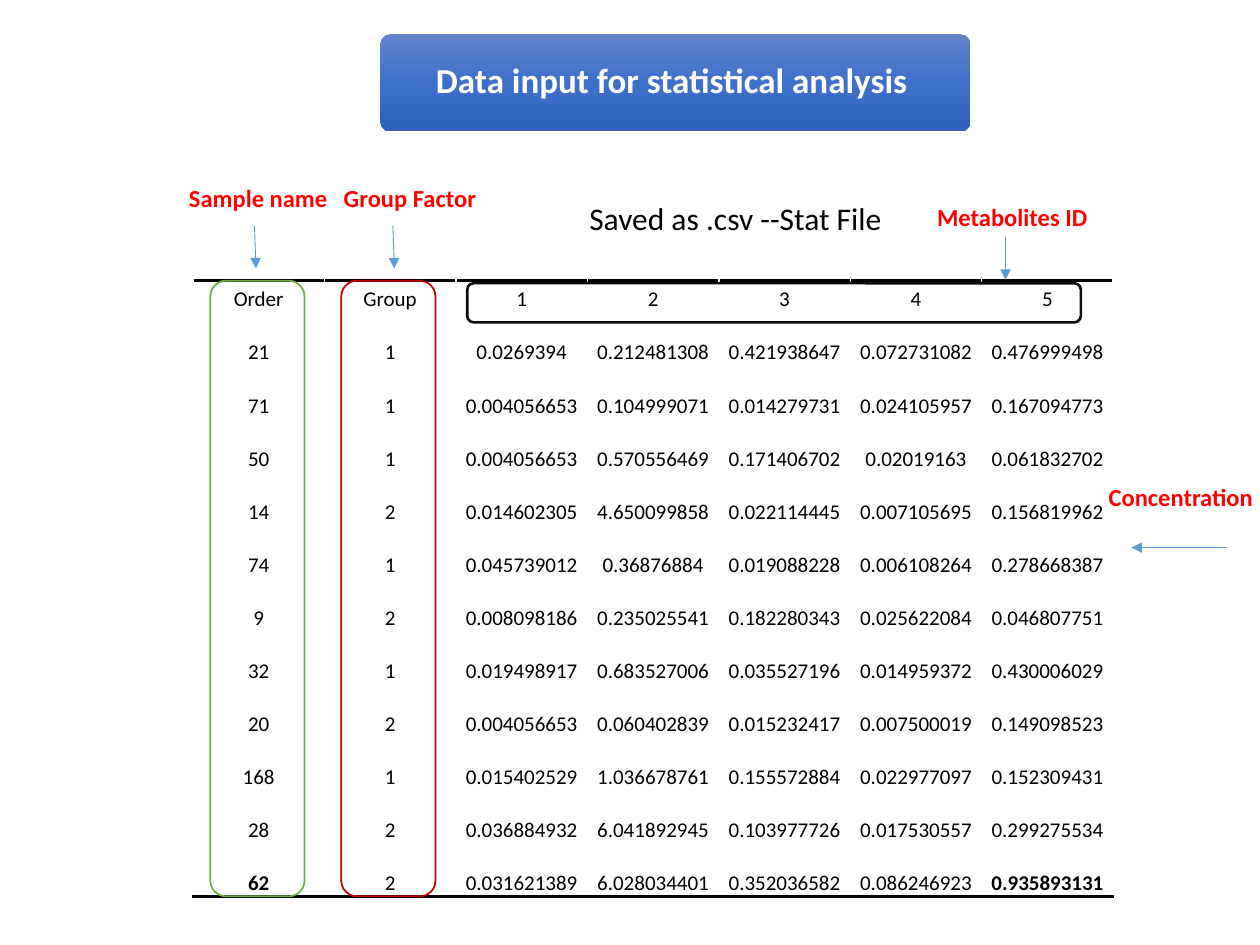
from copy import deepcopy

from lxml.etree import SubElement
from pptx import Presentation
from pptx.dml.color import RGBColor
from pptx.enum.shapes import MSO_CONNECTOR, MSO_SHAPE
from pptx.enum.text import MSO_ANCHOR, MSO_AUTO_SIZE, PP_ALIGN
from pptx.oxml import parse_xml
from pptx.oxml.ns import nsdecls, qn
from pptx.util import Cm, Pt

COLORS = {"white": "FFFFFF", "black": "000000", "label": "FF0000", "arrow": "5B9BD5",
          "order": "70AD47", "group": "C00000", "ids": "0D0D0D"}
BANNER = [(0, "6183CB"), (0.5, "3E70CA"), (1, "3062BB")]
TITLE = "Data input for statistical analysis"
HEADER = ["Order", "Group", "1", "2", "3", "4", "5"]
SAMPLES = [
    ["21", "1", "0.0269394", "0.212481308", "0.421938647", "0.072731082", "0.476999498"],
    ["71", "1", "0.004056653", "0.104999071", "0.014279731", "0.024105957", "0.167094773"],
    ["50", "1", "0.004056653", "0.570556469", "0.171406702", "0.02019163", "0.061832702"],
    ["14", "2", "0.014602305", "4.650099858", "0.022114445", "0.007105695", "0.156819962"],
    ["74", "1", "0.045739012", "0.36876884", "0.019088228", "0.006108264", "0.278668387"],
    ["9", "2", "0.008098186", "0.235025541", "0.182280343", "0.025622084", "0.046807751"],
    ["32", "1", "0.019498917", "0.683527006", "0.035527196", "0.014959372", "0.430006029"],
    ["20", "2", "0.004056653", "0.060402839", "0.015232417", "0.007500019", "0.149098523"],
    ["168", "1", "0.015402529", "1.036678761", "0.155572884", "0.022977097", "0.152309431"],
    ["28", "2", "0.036884932", "6.041892945", "0.103977726", "0.017530557", "0.299275534"],
    ["62", "2", "0.031621389", "6.028034401", "0.352036582", "0.086246923", "0.935893131"],
]
BOLD_CELLS = {"62", "0.935893131"}
LEFT, TOP, COL_W, HEAD_H, ROW_H = 3.89, 5.66, 2.65, 0.64, 1.07
TABLE_H = HEAD_H + ROW_H * len(SAMPLES)
FRAMES = [
    ("order", 1, (4.24, TOP, 1.9, TABLE_H)),
    ("group", 1, (6.88, TOP, 1.9, TABLE_H)),
    ("ids", 1.5, (9.42, 5.71, 12.37, 0.79)),
]
ARROWS = [
    (5.13, 4.55, 5.16, 5.41),
    (7.92, 4.55, 7.95, 5.41),
    (20.27, 4.78, 20.27, 5.64),
    (24.74, 11.04, 22.81, 11.04),
]
LABEL = {"size": Pt(14), "bold": True, "color": "label"}
NOTE = {"size": Pt(18), "bold": False, "color": "black"}
LABELS = [
    ("Sample name\tGroup Factor", (3.56, 3.56, 8.38, 0.86), LABEL, True),
    ("Metabolites ID", (18.64, 3.94, 3.81, 0.86), LABEL, True),
    ("Concentration", (22.1, 9.6, 3.81, 0.86), LABEL, True),
    ("Saved as .csv --Stat File", (11.63, 3.89, 6.48, 1.02), NOTE, False),
]
GROUP_TAB = 3.12


def rgb(name):
    """Look up a named colour."""
    return RGBColor.from_string(COLORS[name])


def lengths(values):
    """Turn centimetre numbers into lengths."""
    return [Cm(v) for v in values]


def write(p, text, size, bold, color):
    """Write one formatted run into a paragraph."""
    r = p.add_run()
    r.text = text
    for key, value in {"name": "Calibri", "size": size, "bold": bold}.items():
        setattr(r.font, key, value)
    r.font.color.rgb = rgb(color)


def add_round_rect(s, box):
    """Add a rounded rectangle without a shadow."""
    sp = s.shapes.add_shape(MSO_SHAPE.ROUNDED_RECTANGLE, *lengths(box))
    sp.shadow.inherit = False
    return sp


def add_title(s):
    """Set the title on its gradient banner."""
    sp = add_round_rect(s, (7.67, 0.69, 11.89, 1.96))
    sp.adjustments[0] = 0.1
    sp.line.fill.background()
    sp.fill.gradient()
    sp.fill.gradient_angle = 270
    stops = sp._element.spPr.find(qn("a:gradFill")).find(qn("a:gsLst"))
    stops.insert(1, deepcopy(stops[0]))
    for stop, (position, color) in zip(sp.fill.gradient_stops, BANNER):
        stop.position = position
        stop.color.rgb = RGBColor.from_string(color)
    title = s.shapes.title
    title._element.addprevious(sp._element)
    for key, value in zip(("left", "top", "width", "height"), lengths((7.8, 0.74, 11.48, 1.85))):
        setattr(title, key, value)
    tf = title.text_frame
    for key, value in {"auto_size": MSO_AUTO_SIZE.NONE, "word_wrap": True,
                       "vertical_anchor": MSO_ANCHOR.MIDDLE}.items():
        setattr(tf, key, value)
    p = tf.paragraphs[0]
    p.alignment, p.line_spacing = PP_ALIGN.CENTER, 0.9
    write(p, TITLE, Pt(20), True, "white")


def add_rule(cell, tag):
    """Draw a black border on one side of a cell."""
    cell._tc.get_or_add_tcPr().insert(0, parse_xml(
        f'<a:{tag} {nsdecls("a")} w="{Pt(2)}"><a:solidFill>'
        f'<a:srgbClr val="{COLORS["black"]}"/></a:solidFill></a:{tag}>'))


def add_data_table(s):
    """Build the table of samples."""
    rows = [HEADER] + SAMPLES
    box = lengths((LEFT, TOP, COL_W * len(HEADER), TABLE_H))
    table = s.shapes.add_table(len(rows), len(HEADER), *box).table
    table.first_row = table.horz_banding = False
    for column in table.columns:
        column.width = Cm(COL_W)
    for i, values in enumerate(rows):
        table.rows[i].height = Cm(ROW_H if i else HEAD_H)
        for j, text in enumerate(values):
            cell = table.cell(i, j)
            for key, value in {"margin_left": Cm(0.02), "margin_right": Cm(0.02),
                               "margin_top": Cm(0.02), "margin_bottom": 0,
                               "vertical_anchor": MSO_ANCHOR.BOTTOM}.items():
                setattr(cell, key, value)
            cell.fill.solid()
            cell.fill.fore_color.rgb = rgb("white")
            p = cell.text_frame.paragraphs[0]
            p.alignment = PP_ALIGN.CENTER
            write(p, text, Pt(12), text in BOLD_CELLS, "black")
            if i == 0:
                add_rule(cell, "lnT")
            elif i == len(SAMPLES):
                add_rule(cell, "lnB")


def add_frame(s, color, width, box):
    """Outline a part of the table."""
    sp = add_round_rect(s, box)
    sp.fill.background()
    sp.line.color.rgb = rgb(color)
    sp.line.width = Pt(width)


def add_arrow(s, ends):
    """Draw a thin arrow."""
    line = s.shapes.add_connector(MSO_CONNECTOR.STRAIGHT, *lengths(ends))
    line.line.color.rgb = rgb("arrow")
    line.line.width = Pt(0.5)
    SubElement(line.line._get_or_add_ln(), qn("a:tailEnd"), type="triangle")
    SubElement(line._element.spPr, qn("a:effectLst"))


def add_label(s, text, box, style, wrap):
    """Place a label, with a tab stop where it has two parts."""
    tf = s.shapes.add_textbox(*lengths(box)).text_frame
    tf.word_wrap = wrap
    p = tf.paragraphs[0]
    if "\t" in text:
        tabs = SubElement(p._p.get_or_add_pPr(), qn("a:tabLst"))
        SubElement(tabs, qn("a:tab"), pos=str(Cm(GROUP_TAB)), algn="l")
    write(p, text, **style)


def main():
    """Build and save the slide."""
    prs = Presentation()
    prs.slide_width, prs.slide_height = lengths((25.4, 19.05))
    s = prs.slides.add_slide(prs.slide_layouts[5])
    add_title(s)
    add_data_table(s)
    for frame in FRAMES:
        add_frame(s, *frame)
    for ends in ARROWS:
        add_arrow(s, ends)
    for label in LABELS:
        add_label(s, *label)
    prs.save("out.pptx")


if __name__ == "__main__":
    main()
